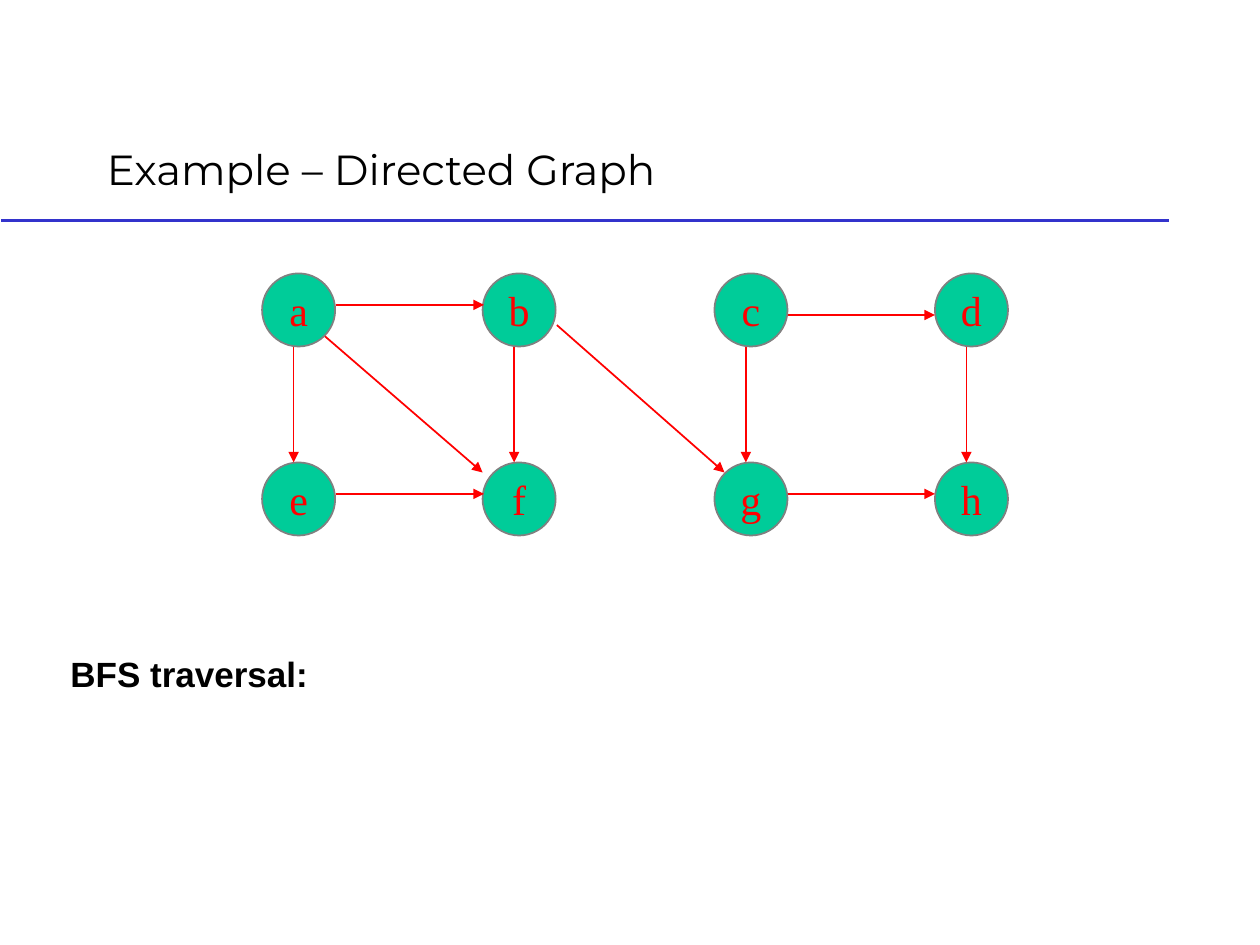
"""Build a slide with a directed graph for a breadth-first traversal."""
from lxml.etree import SubElement
from pptx import Presentation
from pptx.dml.color import RGBColor
from pptx.enum.shapes import MSO_CONNECTOR as Connector, MSO_SHAPE as Shape
from pptx.enum.text import MSO_ANCHOR as Anchor, PP_ALIGN as Align
from pptx.oxml.ns import qn
from pptx.util import Inches, Pt


def colour(value):
    return RGBColor.from_string(value)


class GraphSlide:
    ink, rule, edge, node, outline = "000000", "3333CC", "FF0000", "00CC99", "808080"
    diameter = 0.58

    def __init__(self, page):
        self.page = page

    def set_text(self, frame, text, size, font, ink, bold=False):
        para = frame.paragraphs[0]
        para.text = text
        para.font.size = Pt(size)
        para.font.name = font
        para.font.bold = bold
        para.font.color.rgb = colour(ink)
        return para

    def add_text(self, text, place, size, font, anchor=Anchor.TOP, bold=False):
        box = self.page.shapes.add_textbox(*map(Inches, place))
        frame = box.text_frame
        frame.word_wrap = True
        frame.vertical_anchor = anchor
        return self.set_text(frame, text, size, font, self.ink, bold)

    def add_node(self, label, left, top):
        circle = self.page.shapes.add_shape(
            Shape.OVAL, Inches(left), Inches(top), Inches(self.diameter), Inches(self.diameter))
        circle.shadow.inherit = False
        circle.fill.solid()
        circle.fill.fore_color.rgb = colour(self.node)
        circle.line.color.rgb = colour(self.outline)
        circle.line.width = Pt(1)
        frame = circle.text_frame
        frame.word_wrap = False
        frame.vertical_anchor = Anchor.MIDDLE
        para = self.set_text(frame, label, 24, "Times New Roman", self.edge)
        para.alignment = Align.CENTER

    def add_line(self, start, end, ink, width):
        line = self.page.shapes.add_connector(Connector.STRAIGHT, *map(Inches, start + end))
        line.line.color.rgb = colour(ink)
        line.line.width = Pt(width)
        SubElement(line._element.spPr, qn("a:effectLst"))
        return line

    def add_arrow(self, start, end):
        arrow = self.add_line(start, end, self.edge, 1)
        outline = arrow._element.spPr.find(qn("a:ln"))
        SubElement(outline, qn("a:tailEnd"), type="triangle")


def main():
    deck = Presentation()
    deck.slide_width, deck.slide_height = Inches(10), Inches(7.5)
    slide = GraphSlide(deck.slides.add_slide(deck.slide_layouts[6]))

    for width in (1.5, 0.75):
        slide.add_line((0.01, 1.75), (9.28, 1.75), slide.rule, width)
    slide.add_text("Example – Directed Graph", (0.75, 0.67, 8.5, 0.92), 24,
                   "Montserrat", Anchor.BOTTOM)

    columns, rows = (2.08, 3.83, 5.67, 7.42), (2.17, 3.67)
    for top, labels in zip(rows, ("abcd", "efgh")):
        for left, label in zip(columns, labels):
            slide.add_node(label, left, top)

    for left in columns:
        slide.add_arrow((left + 0.25, 2.75), (left + 0.25, 3.67))
    for left, height in ((2.67, 2.42), (2.67, 3.92), (6.25, 2.5), (6.25, 3.92)):
        slide.add_arrow((left, height), (left + 1.17, height))
    slide.add_arrow((2.58, 2.67), (3.83, 3.75))
    slide.add_arrow((4.42, 2.58), (5.75, 3.75))

    caption = slide.add_text("BFS traversal:", (0.46, 5.17, 9.08, 1.25), 20, "Arial", bold=True)
    caption.line_spacing = 0.9
    caption.space_before = Pt(18.7)

    deck.save("out.pptx")


if __name__ == "__main__":
    main()
